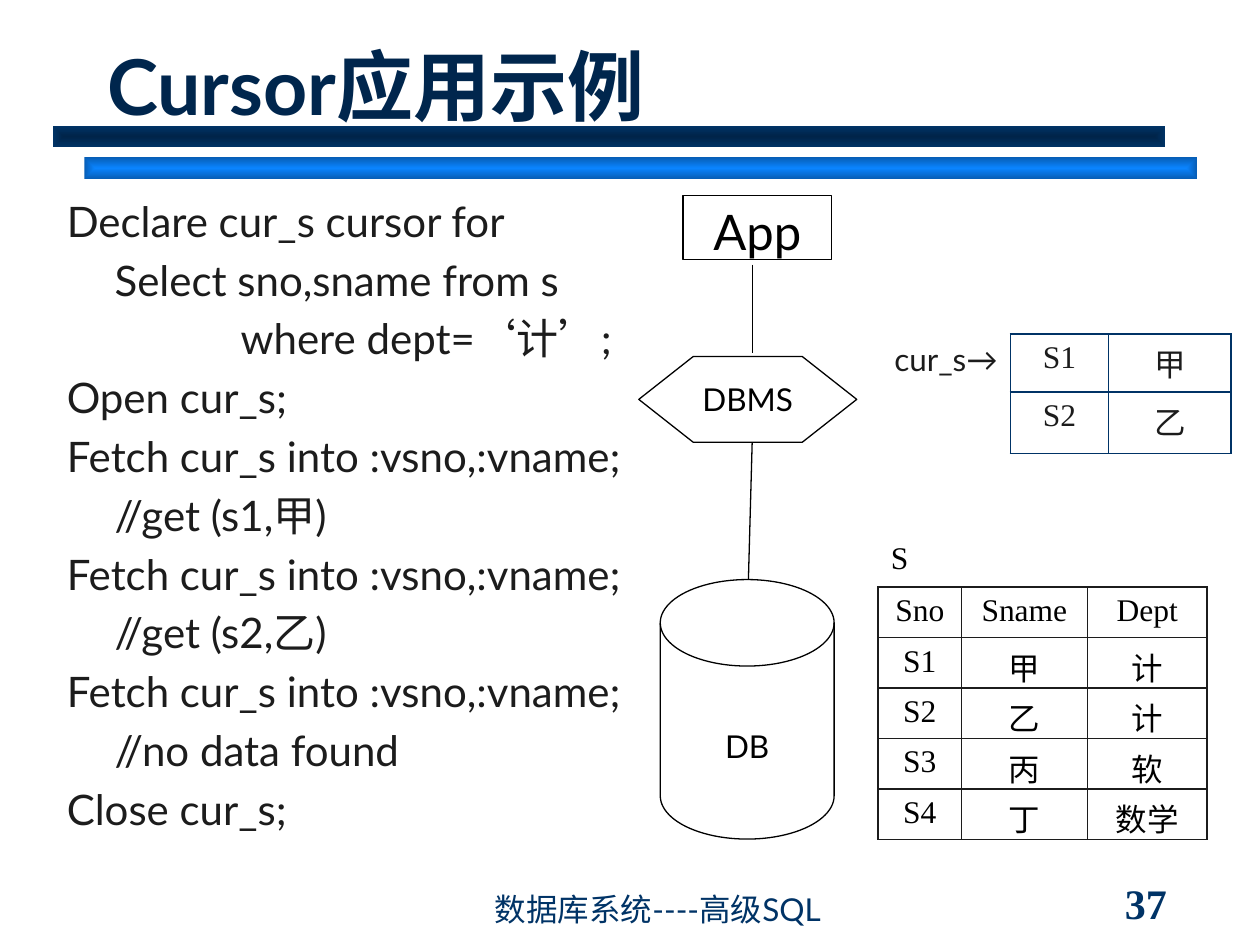
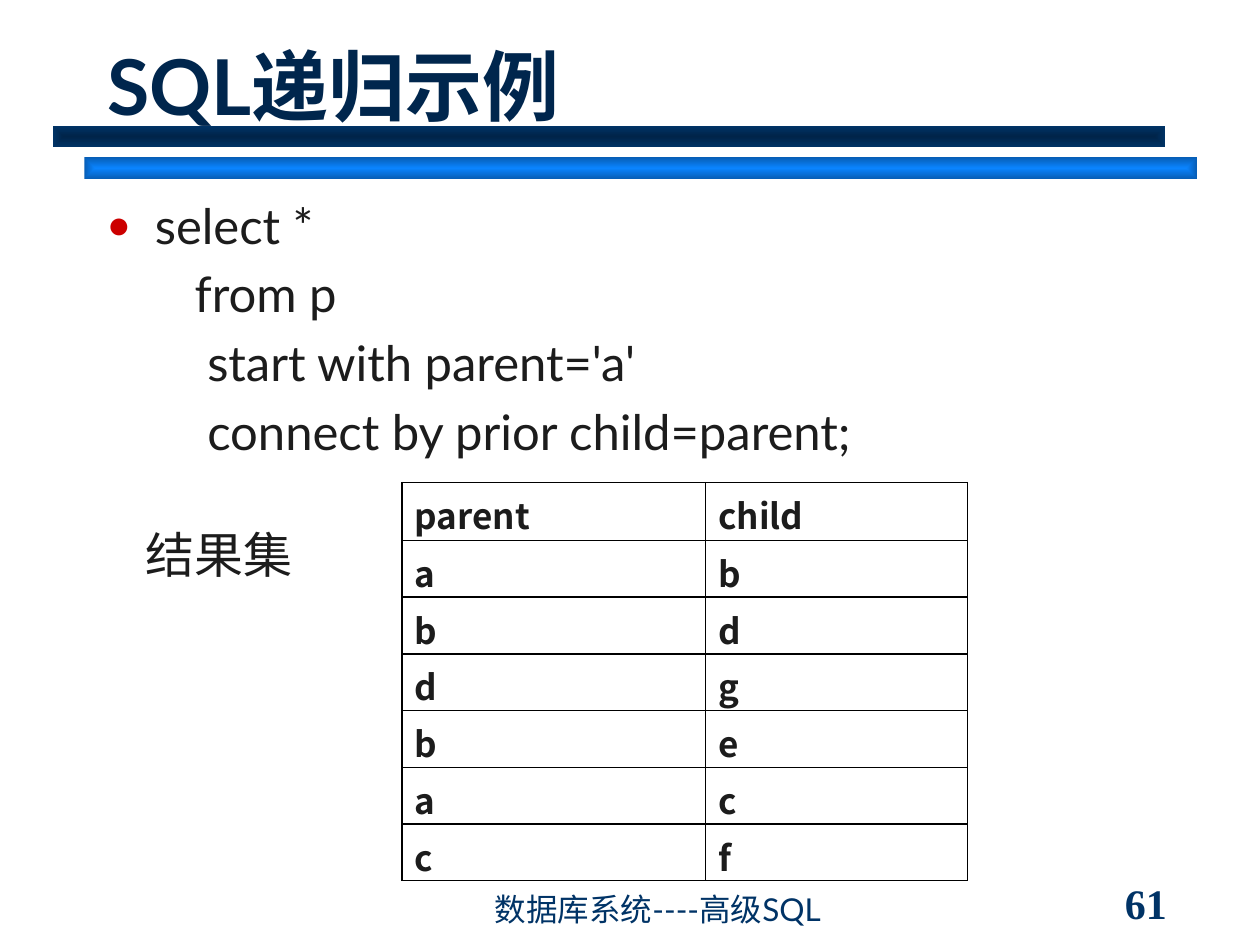
from dataclasses import dataclass

from lxml import etree
from pptx import Presentation
from pptx.dml.color import RGBColor
from pptx.enum.shapes import MSO_CONNECTOR, MSO_SHAPE
from pptx.enum.text import MSO_ANCHOR, MSO_AUTO_SIZE, PP_ALIGN
from pptx.oxml import parse_xml
from pptx.oxml.ns import nsdecls, qn
from pptx.util import Inches, Pt

LEFT, MID, RIGHT, JUST = (PP_ALIGN.LEFT, PP_ALIGN.CENTER,
                          PP_ALIGN.RIGHT, PP_ALIGN.JUSTIFY)
TOP, CENTER, BOTTOM = MSO_ANCHOR.TOP, MSO_ANCHOR.MIDDLE, MSO_ANCHOR.BOTTOM
NO_FIT = MSO_AUTO_SIZE.NONE
RECT, HEXAGON, DISK = (MSO_SHAPE.RECTANGLE, MSO_SHAPE.HEXAGON,
                       MSO_SHAPE.FLOWCHART_MAGNETIC_DISK)
STRAIGHT = MSO_CONNECTOR.STRAIGHT


@dataclass(frozen=True)
class Theme:
    title: str = "00264D"
    ink: str = "1C1C1C"
    black: str = "000000"
    white: str = "FFFFFF"
    navy: str = "003366"
    deep: str = "002449"
    sky: str = "0A84FF"
    blue: str = "075EB6"
    red: str = "CC0000"
    sans: str = "Lato"
    serif: str = "Times New Roman"
    asian: str = "Noto Sans CJK JP"
    huge: int = 44
    large: int = 28
    code: int = 24
    grid: int = 20
    small: int = 18


T = Theme()
HANG = 0.38
FOOTER = "数据库系统----高级SQL"


def color(code):
    return RGBColor.from_string(code)


def place(shape, left, top, width, height):
    shape.left, shape.top = Inches(left), Inches(top)
    shape.width, shape.height = Inches(width), Inches(height)


# Text
def style(par, size, ink, font=T.sans, bold=False, align=LEFT):
    par.alignment = align
    for run in par.runs:
        face = run.font
        face.name, face.size, face.bold = font, Pt(size), bold
        face.color.rgb = color(ink)
        props = run._r.get_or_add_rPr()
        for old in props.findall(qn("a:ea")):
            props.remove(old)
        props.find(qn("a:latin")).addnext(
            parse_xml(f'<a:ea {nsdecls("a")} typeface="{T.asian}"/>'))


def write(frame, text, size, ink, **look):
    frame.text = text
    style(frame.paragraphs[0], size, ink, **look)


def add_text(slide, box, text, size, ink, anchor=TOP, **look):
    frame = slide.shapes.add_textbox(*map(Inches, box)).text_frame
    frame.word_wrap = True
    frame.vertical_anchor = anchor
    write(frame, text, size, ink, **look)


def set_bullet(props, mark):
    if not mark:
        etree.SubElement(props, qn("a:buNone"))
        return
    tint = etree.SubElement(props, qn("a:buClr"))
    etree.SubElement(tint, qn("a:srgbClr"), val=T.red)
    etree.SubElement(props, qn("a:buSzPct"), val="80000")
    etree.SubElement(props, qn("a:buChar"), char=mark)


def fill_body(slide, box, lines, size):
    """Each line is (left margin, first-line indent, bullet, text)."""
    body = slide.placeholders[1]
    place(body, *box)
    frame = body.text_frame
    frame.auto_size = NO_FIT
    frame.text = "\n".join(line[-1] for line in lines)
    for i, (par, line) in enumerate(zip(frame.paragraphs, lines)):
        left, first, mark, _ = line
        props = par._p.get_or_add_pPr()
        props.set("marL", str(Inches(left)))
        props.set("indent", str(Inches(first)))
        set_bullet(props, mark)
        par.space_before = Pt(0.2 * size if i else 0)
        style(par, size, T.ink, align=JUST)


# Shared frame
def add_band(prs, slide, box, inner, outer):
    band = slide.shapes.add_shape(RECT, *map(Inches, box))
    band.shadow.inherit = False
    band.line.fill.background()
    stops = "".join(f'<a:gs pos="{pos}"><a:srgbClr val="{tint}"/></a:gs>'
                    for pos, tint in ((0, inner), (100000, outer)))
    sides = " ".join(f'{side}="50000"' for side in "ltrb")
    band.element.spPr.find(qn("a:prstGeom")).addnext(parse_xml(
        f'<a:gradFill {nsdecls("a")}><a:gsLst>{stops}</a:gsLst>'
        f'<a:path path="shape"><a:fillToRect {sides}/></a:path></a:gradFill>'))
    # The master carries the bands for every slide
    prs.slide_master.shapes.element.append(band.element)


def add_slide(prs, title, number):
    slide = prs.slides.add_slide(prs.slide_layouts[1])
    head = slide.shapes.title
    place(head, 0.75, 0.17, 8.5, 0.92)
    head.text_frame.auto_size = NO_FIT
    head.text_frame.vertical_anchor = BOTTOM
    write(head.text_frame, title, T.huge, T.title, bold=True)
    add_text(slide, (8.83, 7, 1.08, 0.33), number, T.code, T.navy,
             CENTER, font=T.serif, bold=True)
    add_text(slide, (3.83, 7.08, 4.08, 0.33), FOOTER, T.small, T.navy, BOTTOM)
    return slide


# Diagram
def add_node(slide, kind, box, text, size, anchor=TOP, inset=0.05):
    node = slide.shapes.add_shape(kind, *map(Inches, box))
    node.shadow.inherit = False
    node.fill.solid()
    node.fill.fore_color.rgb = color(T.white)
    node.line.color.rgb = color(T.black)
    node.line.width = Pt(0.75)
    node.text_frame.vertical_anchor = anchor
    node.text_frame.margin_top = Inches(inset)
    write(node.text_frame, text, size, T.black, align=MID)
    return node


def add_line(slide, *ends):
    line = slide.shapes.add_connector(STRAIGHT, *map(Inches, ends))
    line.line.color.rgb = color(T.black)
    line.line.width = Pt(0.75)
    etree.SubElement(line.element.spPr, qn("a:effectLst"))


# Tables
def set_border(cell, sides, ink):
    props = cell._tc.get_or_add_tcPr()
    for i, side in enumerate("LRTB"):
        fill = (f'<a:solidFill><a:srgbClr val="{ink}"/></a:solidFill>'
                if side in sides else "<a:noFill/>")
        props.insert(i, parse_xml(
            f'<a:ln{side} {nsdecls("a")} w="12700">{fill}</a:ln{side}>'))


def add_grid(slide, left, top, widths, heights, rows, edge, size, ink,
             anchor=TOP, bare=None, **look):
    """bare(row, column) gives the only ruled side of a label cell, or None."""
    box = (left, top, sum(widths), sum(heights))
    grid = slide.shapes.add_table(len(rows), len(widths),
                                  *map(Inches, box)).table
    grid.first_row = grid.horz_banding = False
    for column, width in zip(grid.columns, widths):
        column.width = Inches(width)
    for r, (row, height) in enumerate(zip(rows, heights)):
        grid.rows[r].height = Inches(height)
        for c, text in enumerate(row):
            cell = grid.cell(r, c)
            cell.fill.background()
            cell.vertical_anchor = anchor
            set_border(cell, bare and bare(r, c) or "LRTB", edge)
            if text:
                write(cell.text_frame, text, size, ink, **look)
    return grid


def cursor_slide(prs):
    slide = add_slide(prs, "Cursor应用示例", "37")
    fetch = "Fetch cur_s into :vsno,:vname;"
    steps = ((0, "Declare cur_s cursor for"), (HANG, "Select sno,sname from s"),
             (HANG + 1, "where dept=‘计’;"), (0, "Open cur_s;"),
             (0, fetch), (HANG, "//get (s1,甲)"),
             (0, fetch), (HANG, "//get (s2,乙)"),
             (0, fetch), (HANG, "//no data found"), (0, "Close cur_s;"))
    fill_body(slide, (0.43, 1.5, 5.28, 5.33),
              [(left, 0, None, text) for left, text in steps], T.code)

    # Student table, with its name in the unruled top row
    rows = (("S", "", ""), ("Sno", "Sname", "Dept"), ("S1", "甲", "计"),
            ("S2", "乙", "计"), ("S3", "丙", "软"), ("S4", "丁", "数学"))
    grid = add_grid(slide, 6.97, 4.25, (0.66, 1, 0.95), [0.41] + [0.4] * 5,
                    rows, T.ink, T.small, T.black, font=T.serif, align=MID,
                    bare=lambda r, c: None if r else "B")
    grid.cell(0, 0).text_frame.paragraphs[0].alignment = JUST

    # Application, system and database
    add_node(slide, RECT, (5.42, 1.55, 1.18, 0.51), "App", T.large)
    system = add_node(slide, HEXAGON, (5.07, 2.83, 1.73, 0.68), "DBMS",
                      T.small, CENTER)
    system.adjustments[0] = 0.635
    add_node(slide, DISK, (5.24, 4.6, 1.38, 2.06), "DB", T.small, inset=0.48)
    add_line(slide, 5.97, 2.1, 5.97, 2.8)
    add_line(slide, 5.97, 3.51, 5.94, 4.6)

    # Cursor result, with its pointer in the unruled left column
    grid = add_grid(slide, 6.7, 2.65, (1.32, 0.78, 0.97), (0.46, 0.49),
                    (("cur_s→", "S1", "甲"), ("", "S2", "乙")),
                    T.navy, T.small, T.ink, font=T.serif, align=MID,
                    bare=lambda r, c: None if c else "R")
    style(grid.cell(0, 0).text_frame.paragraphs[0], T.small, T.ink,
          align=RIGHT)


def recursion_slide(prs):
    slide = add_slide(prs, "SQL递归示例", "61")
    query = ("select *", "       from p", "        start with parent='a'",
             "        connect by prior child=parent;")
    fill_body(slide, (0.75, 1.5, 7.4, 1.94),
              [(HANG, -HANG, None if i else "●", text)
               for i, text in enumerate(query)], T.large)
    add_text(slide, (1.06, 4.11, 1.37, 0.57), "结果集", T.large, T.ink,
             align=JUST)

    # Result set
    pairs = [("parent", "child")] + [tuple(pair) for pair in
                                     ("ab", "bd", "dg", "be", "ac", "cf")]
    add_grid(slide, 3.19, 3.83, (2.41, 2.08), [0.46] + [0.45] * 6, pairs,
             T.black, T.grid, T.ink, CENTER, font=T.asian, bold=True)


def main():
    prs = Presentation()
    prs.slide_width, prs.slide_height = Inches(10), Inches(7.5)
    cursor_slide(prs)
    recursion_slide(prs)
    add_band(prs, prs.slides[0], (0.67, 1.25, 8.83, 0.17), T.sky, T.blue)
    add_band(prs, prs.slides[0], (0.42, 1, 8.83, 0.17), T.deep, T.navy)
    prs.save("out.pptx")


if __name__ == "__main__":
    main()
